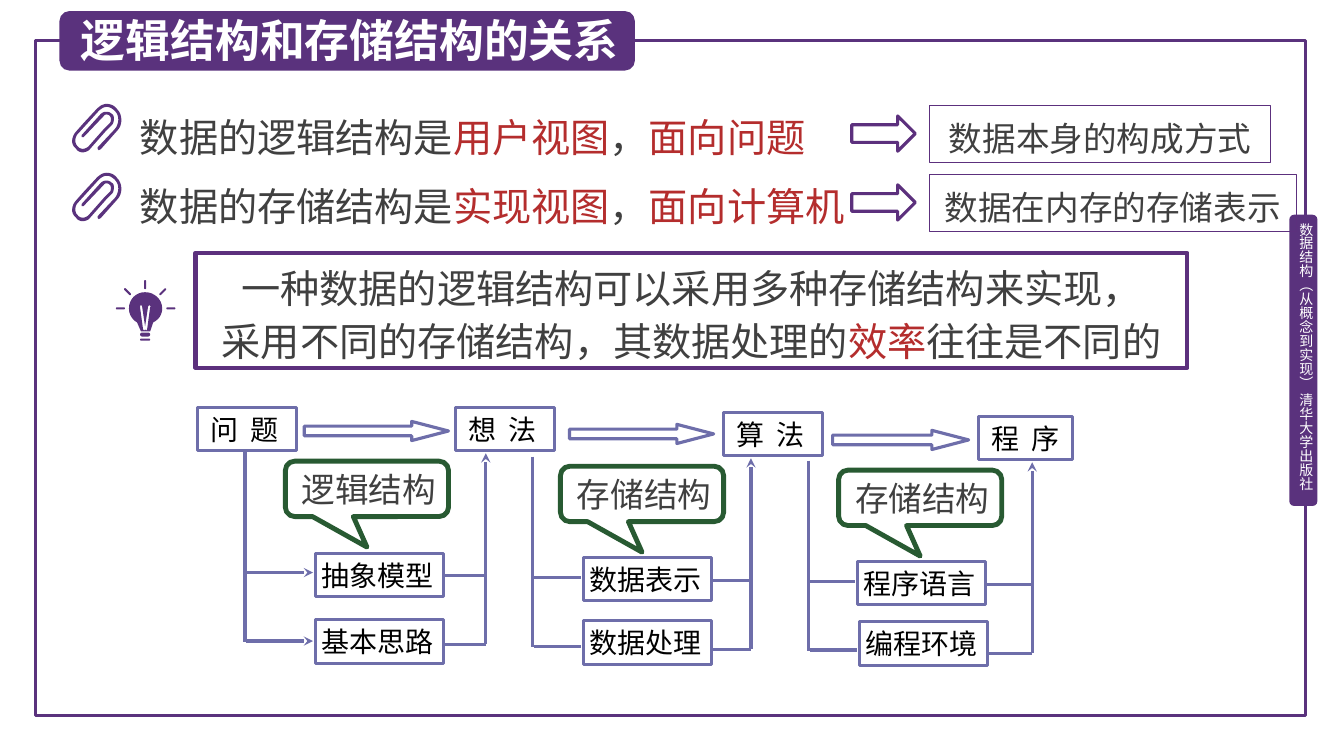
from pptx import Presentation
from pptx.dml.color import RGBColor
from pptx.enum.shapes import MSO_CONNECTOR, MSO_SHAPE as SHP
from pptx.enum.text import MSO_ANCHOR as ANC, MSO_AUTO_SIZE, PP_ALIGN as AL
from pptx.oxml.ns import qn
from pptx.util import Pt
from lxml.etree import SubElement

FONT = "Noto Sans CJK SC"
PURPLE, BORDER, BLUE, GREEN = "5A327D", "5C307D", "6E6EAA", "285A32"
RED, GREY, BLACK, WHITE = "B42D2D", "404040", "000000", "FFFFFF"
UNIT = 0.72  # icon grid, in points

# Icon outlines: a pair is a line end, six numbers are a Bezier curve
CLIP = [[(46, 5), (44, 2, 40, 0, 36, 0), (32, 0, 29, 2, 26, 5), (13, 19), (5, 28),
         (1, 33, 0, 40, 5, 44), (7, 47, 9, 48, 12, 48), (15, 48, 18, 47, 20, 44),
         (35, 27), (41, 21), (42, 20, 43, 18, 43, 15), (43, 13, 43, 11, 41, 10),
         (38, 7, 33, 7, 30, 10), (11, 31), (11, 33), (13, 33), (33, 12),
         (34, 10, 37, 10, 39, 12), (40, 13, 40, 14, 40, 15), (40, 17, 40, 18, 39, 19),
         (33, 25), (18, 42), (15, 45, 10, 46, 7, 42), (4, 39, 4, 34, 7, 30), (8, 29),
         (28, 7), (30, 5, 33, 3, 36, 3), (39, 3, 42, 5, 44, 7), (49, 12, 48, 20, 44, 25),
         (27, 43), (27, 45), (28, 46), (30, 45), (46, 27), (52, 21, 52, 11, 46, 5)]]
BULB = [[(29, 12), (20, 12, 13, 19, 13, 28), (13, 34, 16, 39, 21, 42), (25, 51),
         (34, 51), (37, 42), (43, 39, 46, 34, 46, 28), (46, 19, 38, 12, 29, 12)],
        [(31, 49), (30, 50), (29, 49), (28, 50), (27, 49), (24, 27),
         (24, 26, 24, 25, 25, 25), (26, 25, 26, 26, 26, 26), (29, 46), (32, 26),
         (32, 26, 33, 25, 33, 25), (34, 25, 35, 26, 34, 27), (31, 49)]]
BULB_BARS = [(24, 58, 10, 2, 0), (24, 52, 10, 4, 0), (28, 0, 2, 9, 0), (0, 27, 9, 2, 0),
             (50, 27, 9, 2, 0), (7, 10.5, 9, 2, 45), (42, 10.5, 9, 2, -45)]


def rgb(value):
    return RGBColor.from_string(value)


def paint(sp, fill=None, line=None, width=2.25):
    sp.shadow.inherit = False
    if fill:
        sp.fill.solid()
        sp.fill.fore_color.rgb = rgb(fill)
    else:
        sp.fill.background()
    if line:
        sp.line.color.rgb = rgb(line)
        sp.line.width = Pt(width)
    else:
        sp.line.fill.background()


def shape(s, kind, box, fill=None, line=None, width=2.25, adj=()):
    sp = s.shapes.add_shape(kind, *map(Pt, box))
    paint(sp, fill, line, width)
    for i, value in enumerate(adj):
        sp.adjustments[i] = value
    return sp


def write(sp, paras, size, align=AL.LEFT, anchor=ANC.MIDDLE, insets=(7.2, 3.6, 7.2, 3.6),
          spacing=None, bold=False, tracking=0):
    """paras is a list of paragraphs, each a list of (text, colour) runs."""
    tf = sp.text_frame
    names = ("margin_left", "margin_top", "margin_right", "margin_bottom")
    frame = dict(zip(names, map(Pt, insets)), word_wrap=True, vertical_anchor=anchor,
                 auto_size=MSO_AUTO_SIZE.NONE)
    for name, value in frame.items():
        setattr(tf, name, value)
    for i, runs in enumerate(paras):
        p = tf.add_paragraph() if i else tf.paragraphs[0]
        p.alignment = align
        if spacing:
            p.line_spacing = Pt(spacing)
        for text, color in runs:
            r = p.add_run()
            r.text = text
            for name, value in dict(name=FONT, size=Pt(size), bold=bold).items():
                setattr(r.font, name, value)
            r.font.color.rgb = rgb(color)
            rPr = r._r.get_or_add_rPr()
            SubElement(rPr, qn("a:ea")).set("typeface", FONT)
            if tracking:
                rPr.set("spc", str(tracking))


def line(s, x1, y1, x2, y2, arrow=False):
    c = s.shapes.add_connector(MSO_CONNECTOR.STRAIGHT, *map(Pt, (x1, y1, x2, y2)))
    c.line.color.rgb = rgb(BLUE)
    c.line.width = Pt(2.25)
    if arrow:
        SubElement(c.line._get_or_add_ln(), qn("a:tailEnd")).set("type", "stealth")
    SubElement(c._element.spPr, qn("a:effectLst"))


def flatten(contour, steps=8):
    pts = [contour[0]]
    for seg in contour[1:]:
        if len(seg) == 2:
            pts.append(seg)
            continue
        ctrl = [pts[-1], seg[:2], seg[2:4], seg[4:]]
        for t in (k / steps for k in range(1, steps + 1)):
            weights = ((1 - t) ** 3, 3 * t * (1 - t) ** 2, 3 * t * t * (1 - t), t ** 3)
            pts.append(tuple(sum(w * c[a] for w, c in zip(weights, ctrl)) for a in (0, 1)))
    return [(x * 10, y * 10) for x, y in pts]


def icon(s, x, y, contours):
    first, *others = map(flatten, contours)
    fb = s.shapes.build_freeform(*first[0], scale=Pt(UNIT / 10))
    fb.add_line_segments(first[1:], close=True)
    for pts in others:
        fb.move_to(*pts[0])
        fb.add_line_segments(pts[1:], close=True)
    paint(fb.convert_to_shape(Pt(x), Pt(y)), PURPLE)


def page_frame(s, x, y, w, h):
    shape(s, SHP.RECTANGLE, (x, y, w, h), line=PURPLE)
    # Side tab with vertical text
    tab_x, tab_y = x + w - 11.4, y + 124.6
    shape(s, SHP.ROUNDED_RECTANGLE, (tab_x, tab_y, 20, 208), PURPLE)
    tb = s.shapes.add_textbox(*map(Pt, (tab_x + 5.6, tab_y + 5.7, 12.2, 202.3)))
    write(tb, [[("数据结构（从概念到实现） 清华大学出版社", WHITE)]], 10,
          anchor=ANC.TOP, insets=(0, 0, 0, 0))
    tb.text_frame._txBody.bodyPr.set("vert", "eaVert")


def title(s, x, y, w, h):
    shape(s, SHP.ROUNDED_RECTANGLE, (x, y, w, h), PURPLE)
    sp = s.shapes.title
    s.shapes._spTree.append(sp._element)  # above its plate
    for name, value in dict(left=x + 8, top=y - 2.9, width=w - 4, height=46).items():
        setattr(sp, name, Pt(value))
    write(sp, [[("逻辑结构和存储结构的关系", WHITE)]], 32, bold=True)


def view_row(s, x, y, runs, label, label_w):
    icon(s, x, y + 3.6, CLIP)
    tb = s.shapes.add_textbox(*map(Pt, (x + 42.5, y, 525, 54.7)))
    write(tb, [list(zip(runs, (GREY, RED, GREY, RED)))], 28)
    shape(s, SHP.RIGHT_ARROW, (x + 558, y + 12.2, 45.4, 25.2), line=BORDER)
    sp = shape(s, SHP.RECTANGLE, (x + 613.4, y + 5, label_w, 40.3), line=BORDER, width=0.75)
    write(sp, [[(label, GREY)]], 24, AL.CENTER, insets=(7.2, 6, 7.2, 0))


def insight(s, x, y, w, h):
    sp = shape(s, SHP.RECTANGLE, (x, y, w, h), line=BORDER, width=3)
    write(sp, [[("一种数据的逻辑结构可以采用多种存储结构来实现，", GREY)],
               [("采用不同的存储结构，其数据处理的", GREY), ("效率", RED), ("往往是不同的", GREY)]],
          28, AL.CENTER, ANC.TOP, spacing=38)
    # Light bulb
    bx, by = x - 56.9, y + 19.4
    icon(s, bx, by, BULB)
    for dx, dy, bw, bh, angle in BULB_BARS:
        box = (bx + dx * UNIT, by + dy * UNIT, bw * UNIT, bh * UNIT)
        shape(s, SHP.ROUNDED_RECTANGLE, box, PURPLE, adj=(0.5,)).rotation = angle


def stage(s, x, y, w, text):
    sp = shape(s, SHP.RECTANGLE, (x, y, w, 31), line=BLUE)
    write(sp, [[(text, BLACK)]], 20, insets=(9, 0.7, 0, 0.7), tracking=225)


def transition(s, x, y, steps, up_dx, note, note_dx, arrows=False):
    """Branch down from one stage, through two steps, up to the next."""
    line(s, x, y, x, y + 136)
    for i, (text, dx, dy) in enumerate(steps):
        sp = shape(s, SHP.RECTANGLE, (x + dx, y + dy, 91.4, 31), line=BLUE)
        write(sp, [[(text, BLACK)]], 20, insets=(4.3, 0.7, 4.3, 0.7))
        in_y, out_y = y + 86.4 + 48.9 * i, y + 88.4 + 49.1 * i
        line(s, x + 1, in_y, x + dx - 1.8, in_y, arrows)
        line(s, x + dx + 92, out_y, x + up_dx, out_y)
    line(s, x + up_dx, y + 137.5, x + up_dx, y + 1.2, True)
    sp = shape(s, SHP.ROUNDED_RECTANGULAR_CALLOUT, (x + note_dx, y + 6.8, 116.6, 39.6),
               line=GREEN, width=3.5, adj=(0, 1.05, 0.17))
    write(sp, [[(note, GREY)]], 24, AL.CENTER, insets=(2.9, 0, 0, 0))


def process(s, x, y):
    for dx, dy, w, text in [(0, 0, 70.6, "问 题"), (184.3, 0, 70.6, "想 法"),
                            (375.9, 3.6, 70.6, "算 法"), (558, 6.5, 67, "程 序")]:
        stage(s, x + dx, y + dy, w, text)
    for dx, dy, w in [(76.3, 10.1, 103), (265.7, 12.2, 103), (453.6, 16.5, 97.2)]:
        shape(s, SHP.RIGHT_ARROW, (x + dx, y + dy, w, 13.7), line=BLUE, adj=(0.5, 1.92))
    transition(s, x + 33.9, y + 31.7, [("抽象模型", 50.4, 72.7), ("基本思路", 50.4, 120.2)],
               172, "逻辑结构", 28.8, True)
    transition(s, x + 239.1, y + 35.3, [("数据表示", 36.7, 72), ("数据处理", 36.7, 117.3)],
               156.2, "存储结构", 20.1)
    transition(s, x + 436.3, y + 38.1, [("程序语言", 35.3, 72), ("编程环境", 36.8, 115.2)],
               159.9, "存储结构", 21.6)


def main():
    prs = Presentation()
    prs.slide_width, prs.slide_height = Pt(960), Pt(540)
    s = prs.slides.add_slide(prs.slide_layouts[5])
    page_frame(s, 25.2, 28.8, 907.2, 482.4)
    title(s, 42.5, 7.9, 411, 42.5)
    view_row(s, 50.4, 70.6, ("数据的逻辑结构是", "用户视图", "，", "面向问题"),
             "数据本身的构成方式", 244.1)
    view_row(s, 50.4, 119.8, ("数据的存储结构是", "实现视图", "，", "面向计算机"),
             "数据在内存的存储表示", 262.1)
    insight(s, 139.7, 180.7, 708.5, 82.1)
    process(s, 141.1, 290.9)
    prs.save("out.pptx")


if __name__ == "__main__":
    main()
